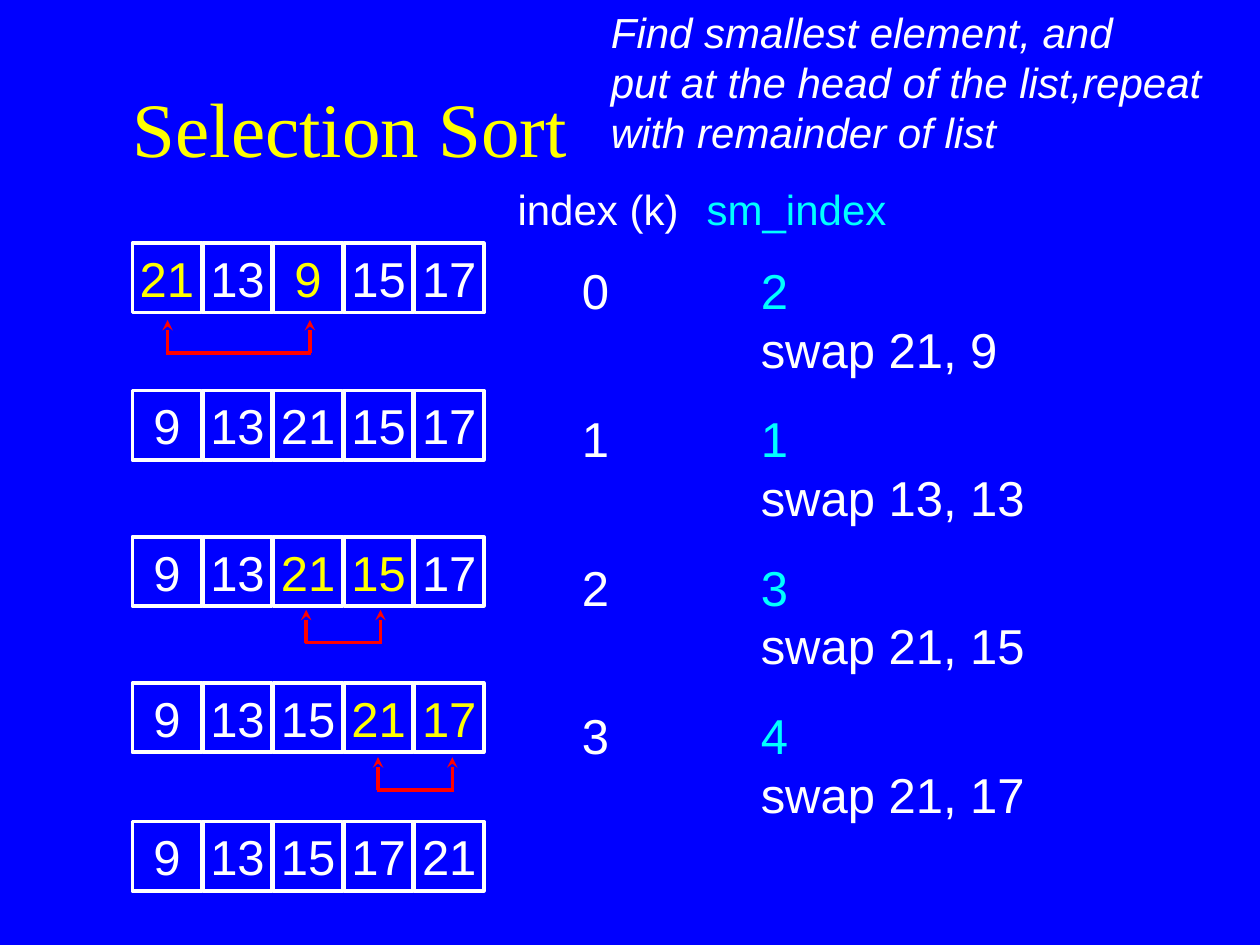
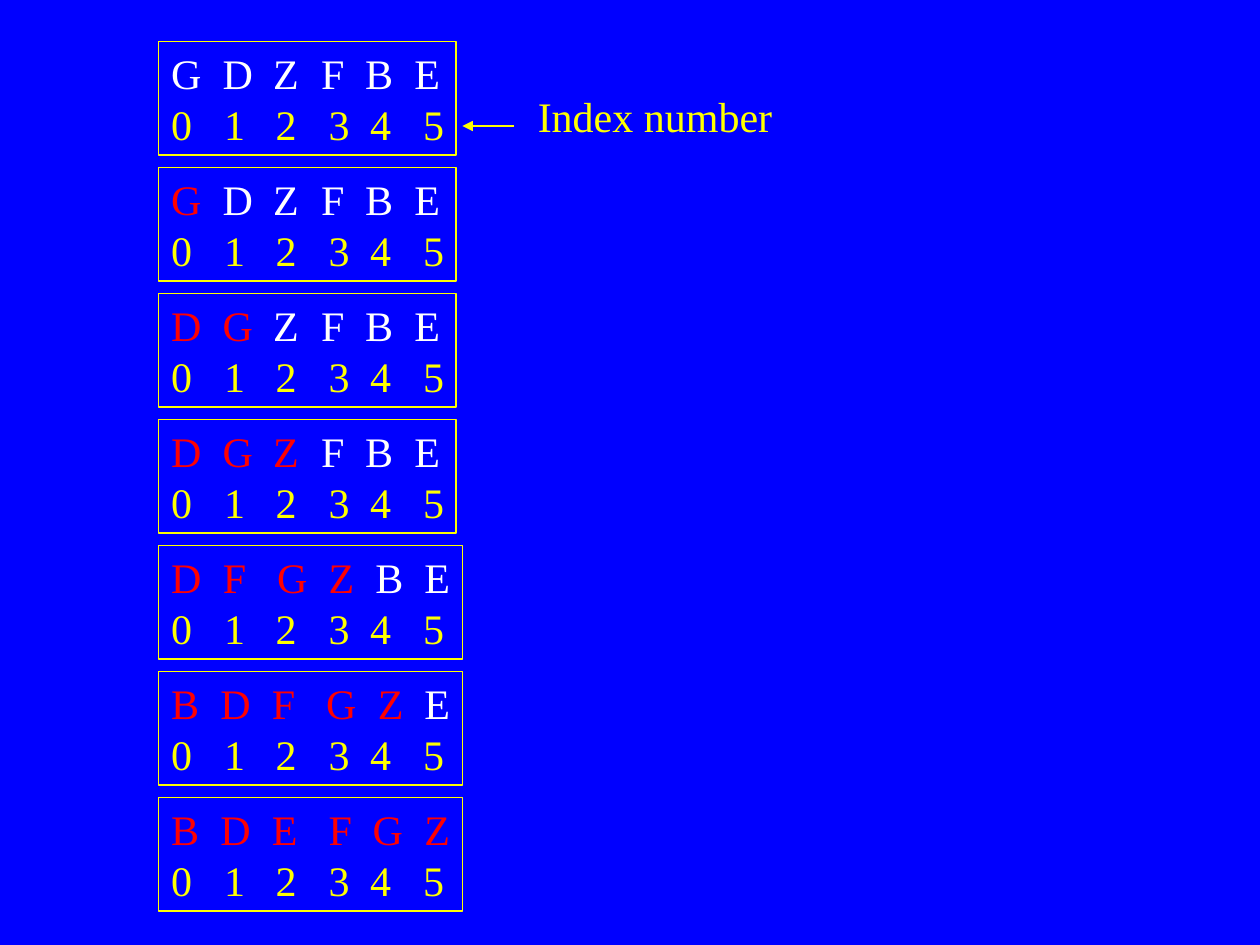
"""Build two slides that trace selection sort and insertion sort step by step."""
from lxml.etree import SubElement
from pptx import Presentation
from pptx.dml.color import RGBColor
from pptx.enum.shapes import MSO_CONNECTOR, MSO_SHAPE
from pptx.enum.text import MSO_ANCHOR, PP_ALIGN
from pptx.oxml.ns import qn
from pptx.util import Inches, Pt

BLUE, WHITE, YELLOW, CYAN, RED = "0000FF", "FFFFFF", "FFFF00", "00FFFF", "FF0000"
SANS, SERIF = "Arial", "Times New Roman"
color = RGBColor.from_string


def write(paragraph, spans, size, font, stops=()):
    """Fill a paragraph with (text, colour) spans; a None span breaks the line."""
    if stops:
        tabs = SubElement(paragraph._p.get_or_add_pPr(), qn("a:tabLst"))
        for stop in stops:
            SubElement(tabs, qn("a:tab"), pos=str(Inches(stop)), algn="l")
    paragraph.font.size = Pt(size)
    paragraph.font.name = font
    if len(spans) == 1:
        paragraph.font.color.rgb = color(spans[0][1])
    for span in spans:
        if span is None:
            paragraph.add_line_break()
            continue
        run = paragraph.add_run()
        run.text = span[0]
        if len(spans) > 1:
            run.font.color.rgb = color(span[1])


def draw_line(shapes, start, end, hue, width, arrow=None):
    """Draw a straight line, with an optional arrowhead at its end."""
    line = shapes.add_connector(MSO_CONNECTOR.STRAIGHT, *map(Inches, start + end))
    line.line.color.rgb = color(hue)
    line.line.width = Pt(width)
    if arrow:
        SubElement(line.line._get_or_add_ln(), qn("a:tailEnd"), type=arrow)
    SubElement(line._element.spPr, qn("a:effectLst"))


deck = Presentation()
deck.slide_width, deck.slide_height = Inches(10), Inches(7.5)
pages = []
for _ in range(2):
    page = deck.slides.add_slide(deck.slide_layouts[6])
    page.background.fill.solid()
    page.background.fill.fore_color.rgb = color(BLUE)
    pages.append(page)
selection_page, insertion_page = pages

title = selection_page.shapes.add_textbox(Inches(0.75), Inches(0.67), Inches(4.21), Inches(0.75))
title.text_frame.word_wrap = True
title.text_frame.vertical_anchor = MSO_ANCHOR.BOTTOM
title.text_frame.margin_right = Inches(0.25)
title.text_frame.paragraphs[0].alignment = PP_ALIGN.CENTER
write(title.text_frame.paragraphs[0], [("Selection Sort", YELLOW)], 44, SERIF)

steps = selection_page.shapes.add_textbox(Inches(4.01), Inches(1.36), Inches(5.16), Inches(5.23))
frame = steps.text_frame
frame.word_wrap = True
frame.margin_top = Inches(0.1)
header = frame.paragraphs[0]
write(header, [("index (k)\t", WHITE), ("sm_index", CYAN)], 24, SANS, [1.5])
header.space_after = Pt(15)
for index, (smallest, swap) in enumerate([(2, "21, 9"), (1, "13, 13"), (3, "21, 15"), (4, "21, 17")]):
    step = frame.add_paragraph()
    spans = [(f"\t{index}\t", WHITE), (str(smallest), CYAN), None, (f"\t\tswap {swap}", WHITE)]
    write(step, spans, 28, SANS, [0.51, 1.93])
    step.space_after = Pt(17.5)

CELL, PITCH = 0.55, 0.56
passes = [
    (1.93, [21, 13, 9, 15, 17], (0, 2), (1.33, 2.46, 2.54)),
    (3.1, [9, 13, 21, 15, 17], (), None),
    (4.26, [9, 13, 21, 15, 17], (2, 3), (2.43, 3.02, 4.84)),
    (5.42, [9, 13, 15, 21, 17], (3, 4), (3, 3.59, 6.01)),
    (6.52, [9, 13, 15, 17, 21], (), None),
]
for top, values, swapped, bracket in passes:
    row = selection_page.shapes.add_group_shape()
    for column, value in enumerate(values):
        left = 1.05 + column * PITCH
        cell = row.shapes.add_shape(
            MSO_SHAPE.RECTANGLE, Inches(left), Inches(top), Inches(CELL), Inches(CELL))
        cell.shadow.inherit = False
        cell.fill.background()
        cell.line.color.rgb = color(WHITE)
        cell.line.width = Pt(2)
        cell.text_frame.word_wrap = False
        paragraph = cell.text_frame.paragraphs[0]
        paragraph.alignment = PP_ALIGN.CENTER
        write(paragraph, [(str(value), YELLOW if column in swapped else WHITE)], 28, SANS)
    if bracket:
        first, second, tip = bracket
        base = tip + 0.26
        for x in (first, second):
            draw_line(row.shapes, (x, base), (x, tip), RED, 2, "stealth")
        draw_line(row.shapes, (first - 0.01, base), (second + 0.01, base), RED, 2)

summary = selection_page.shapes.add_textbox(Inches(4.75), Inches(0), Inches(4.89), Inches(1.3))
frame = summary.text_frame
frame.word_wrap = True
frame.margin_right = 0
sentences = ["Find smallest element, and", "put at the head of the list,repeat", "with remainder of list"]
for number, sentence in enumerate(sentences):
    paragraph = frame.add_paragraph() if number else frame.paragraphs[0]
    write(paragraph, [(sentence, WHITE)], 24, SANS)
    paragraph.font.italic = True

DIGIT_STOPS = [0.42, 0.83, 1.25, 1.58, 2]
START_STOPS = [0.41, 0.81, 1.19, 1.54, 1.93]
states = [
    ("GDZFBE", START_STOPS, 2.36),
    ("GDZFBE", START_STOPS, 2.36),
    ("DGZFBE", START_STOPS, 2.36),
    ("DGZFBE", START_STOPS, 2.36),
    ("DFGZBE", [0.41, 0.84, 1.25, 1.62, 2.01], 2.41),
    ("BDFGZE", [0.39, 0.8, 1.23, 1.64, 2.01], 2.41),
    ("BDEFGZ", [0.39, 0.8, 1.25, 1.6, 2.01], 2.41),
]
for done, (letters, stops, width) in enumerate(states):
    box = insertion_page.shapes.add_shape(
        MSO_SHAPE.RECTANGLE, Inches(1.26), Inches(0.33 + done), Inches(width), Inches(0.9))
    box.shadow.inherit = False
    box.fill.background()
    box.line.color.rgb = color(YELLOW)
    box.line.width = Pt(0.75)
    frame = box.text_frame
    frame.word_wrap = True
    frame.vertical_anchor = MSO_ANCHOR.TOP
    frame.margin_right = 0
    in_order, waiting = "\t".join(letters[:done]), "\t".join(letters[done:])
    if in_order and waiting:
        waiting = "\t" + waiting
    spans = [span for span in [(in_order, RED), (waiting, WHITE)] if span[0]]
    letter_line, digit_line = frame.paragraphs[0], frame.add_paragraph()
    letter_line.alignment = digit_line.alignment = PP_ALIGN.LEFT
    write(letter_line, spans, 24, SERIF, stops)
    write(digit_line, [("\t".join("012345"), YELLOW)], 24, SERIF, DIGIT_STOPS)

label = insertion_page.shapes.add_textbox(Inches(4.17), Inches(0.67), Inches(2.06), Inches(0.5))
label.text_frame.word_wrap = True
label.text_frame.margin_right = 0
write(label.text_frame.paragraphs[0], [("Index number", YELLOW)], 24, SERIF)
draw_line(insertion_page.shapes, (4.08, 1), (3.67, 1), YELLOW, 0.75, "triangle")

deck.save("out.pptx")
